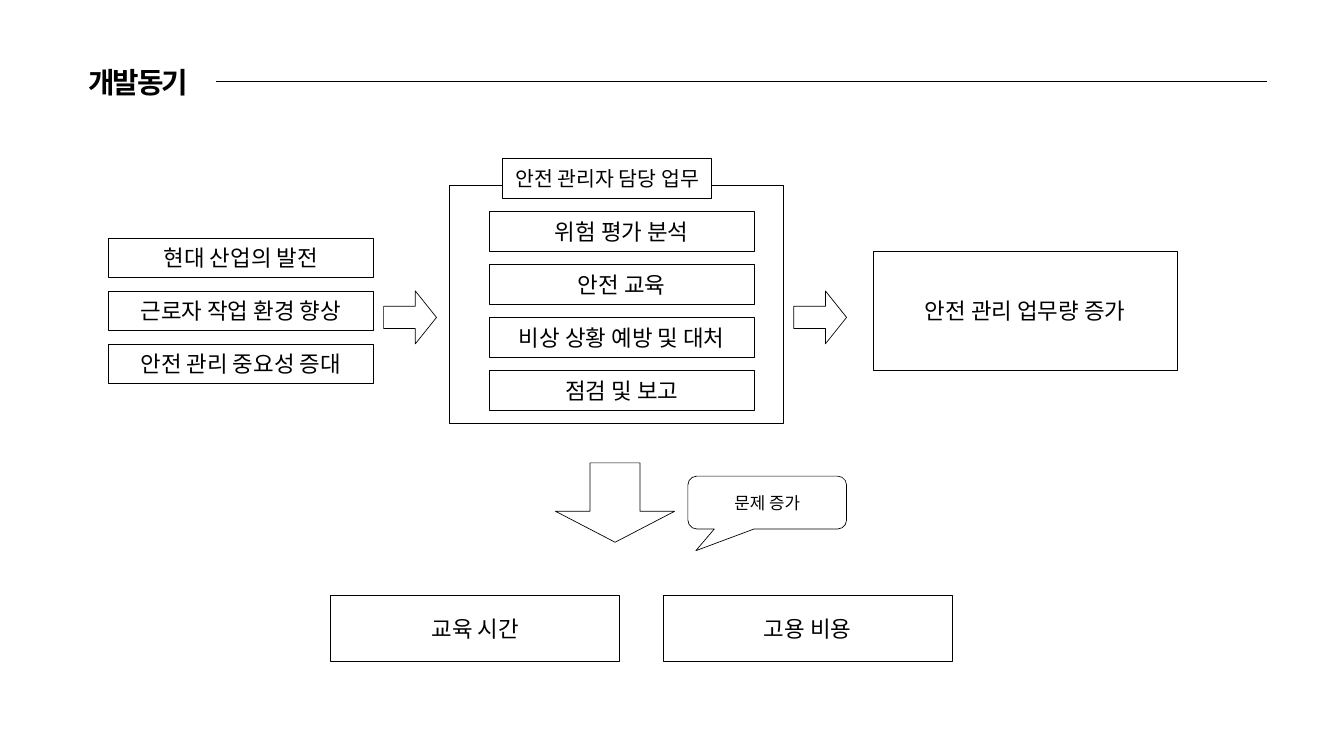
from pptx import Presentation, util as u
from pptx.dml.color import RGBColor
from pptx.enum import shapes, text
from pptx.oxml.ns import qn
from lxml import etree

HEADING = "개발동기"
CAUSES = ["현대 산업의 발전", "근로자 작업 환경 향상", "안전 관리 중요성 증대"]
DUTIES_LABEL = "안전 관리자 담당 업무"
DUTIES = ["위험 평가 분석", "안전 교육", "비상 상황 예방 및 대처", "점검 및 보고"]
RESULT = "안전 관리 업무량 증가"
PROBLEM_NOTE = "문제 증가"
PROBLEMS = ["교육 시간", "고용 비용"]

THEME = {
    "ink": RGBColor(0, 0, 0),
    "paper": RGBColor(255, 255, 255),
    "heading_font": "Noto Sans CJK SC",
    "body_font": "Noto Sans CJK KR",
    "heading": 30.9,
    "body": 24,
    "label": 22,
    "note": 18,
}
ITEM_WIDTH, ITEM_HEIGHT, ITEM_STEP = 10, 1.5, 2
PROBLEM_WIDTH, PROBLEM_STEP = 10.92, 12.57
KIND = shapes.MSO_SHAPE

deck = Presentation()
deck.slide_width, deck.slide_height = u.Cm(50.8), u.Cm(28.58)
slide = deck.slides.add_slide(deck.slide_layouts[6])


def cm(*lengths):
    return [u.Cm(length) for length in lengths]


def add_words(paragraph, words, size, font):
    run = paragraph.add_run()
    run.text = words
    run.font.size = u.Pt(size)
    run.font.name = font
    run.font.color.rgb = THEME["ink"]
    etree.SubElement(run.font._element, qn("a:ea")).set("typeface", font)
    return run


def add_figure(kind, place, words=None, size=THEME["body"], adjustments=()):
    figure = slide.shapes.add_shape(kind, *cm(*place))
    figure.shadow.inherit = False
    figure.fill.solid()
    figure.fill.fore_color.rgb = THEME["paper"]
    figure.line.color.rgb = THEME["ink"]
    figure.line.width = u.Pt(0)
    for index, value in enumerate(adjustments):
        figure.adjustments[index] = value
    if words:
        frame = figure.text_frame
        frame.word_wrap = True
        frame.vertical_anchor = text.MSO_ANCHOR.MIDDLE
        frame.paragraphs[0].alignment = text.PP_ALIGN.CENTER
        add_words(frame.paragraphs[0], words, size, THEME["body_font"])


def add_stack(items, left, top):
    for row, item in enumerate(items):
        add_figure(KIND.RECTANGLE,
                   (left, top + row * ITEM_STEP, ITEM_WIDTH, ITEM_HEIGHT), item)


def add_heading():
    heading = slide.shapes.add_textbox(*cm(3.33, 2.21, 10.4, 1.52))
    frame = heading.text_frame
    frame.word_wrap = True
    frame.auto_size = text.MSO_AUTO_SIZE.SHAPE_TO_FIT_TEXT
    frame.margin_left = frame.margin_right = frame.margin_top = frame.margin_bottom = 0
    paragraph = frame.paragraphs[0]
    paragraph.line_spacing = u.Pt(43.3)
    run = add_words(paragraph, HEADING, THEME["heading"], THEME["heading_font"])
    run.font.bold = True
    run.font._element.set("spc", "-200")

    rule = slide.shapes.add_connector(shapes.MSO_CONNECTOR.STRAIGHT,
                                      *cm(8.15, 3.07, 47.88, 3.07))
    rule.line.color.rgb = THEME["ink"]
    rule.line.width = u.Pt(0.75)
    etree.SubElement(rule._element.spPr, qn("a:effectLst"))


add_figure(KIND.RECTANGLE, (17, 7, 12.6, 9))
add_heading()
add_stack(CAUSES, 4.1, 9)
add_figure(KIND.RECTANGLE, (19, 6, 7.9, ITEM_HEIGHT), DUTIES_LABEL, THEME["label"])
add_stack(DUTIES, 18.5, 8)
add_figure(KIND.RECTANGLE, (33, 9.5, 11.5, 4.5), RESULT)
for arrow_left in (14.5, 30):
    add_figure(KIND.RIGHT_ARROW, (arrow_left, 11, 2, 2), adjustments=(0.42, 0.4))
add_figure(KIND.DOWN_ARROW, (21, 17.5, 4.5, 3), adjustments=(0.42, 0.39))
for column, problem in enumerate(PROBLEMS):
    add_figure(KIND.RECTANGLE,
               (12.5 + column * PROBLEM_STEP, 22.5, PROBLEM_WIDTH, 2.5), problem)
add_figure(KIND.ROUNDED_RECTANGULAR_CALLOUT, (26, 18, 6, 2), PROBLEM_NOTE,
           THEME["note"], (-0.45, 0.91, 0.17))

deck.save("out.pptx")
